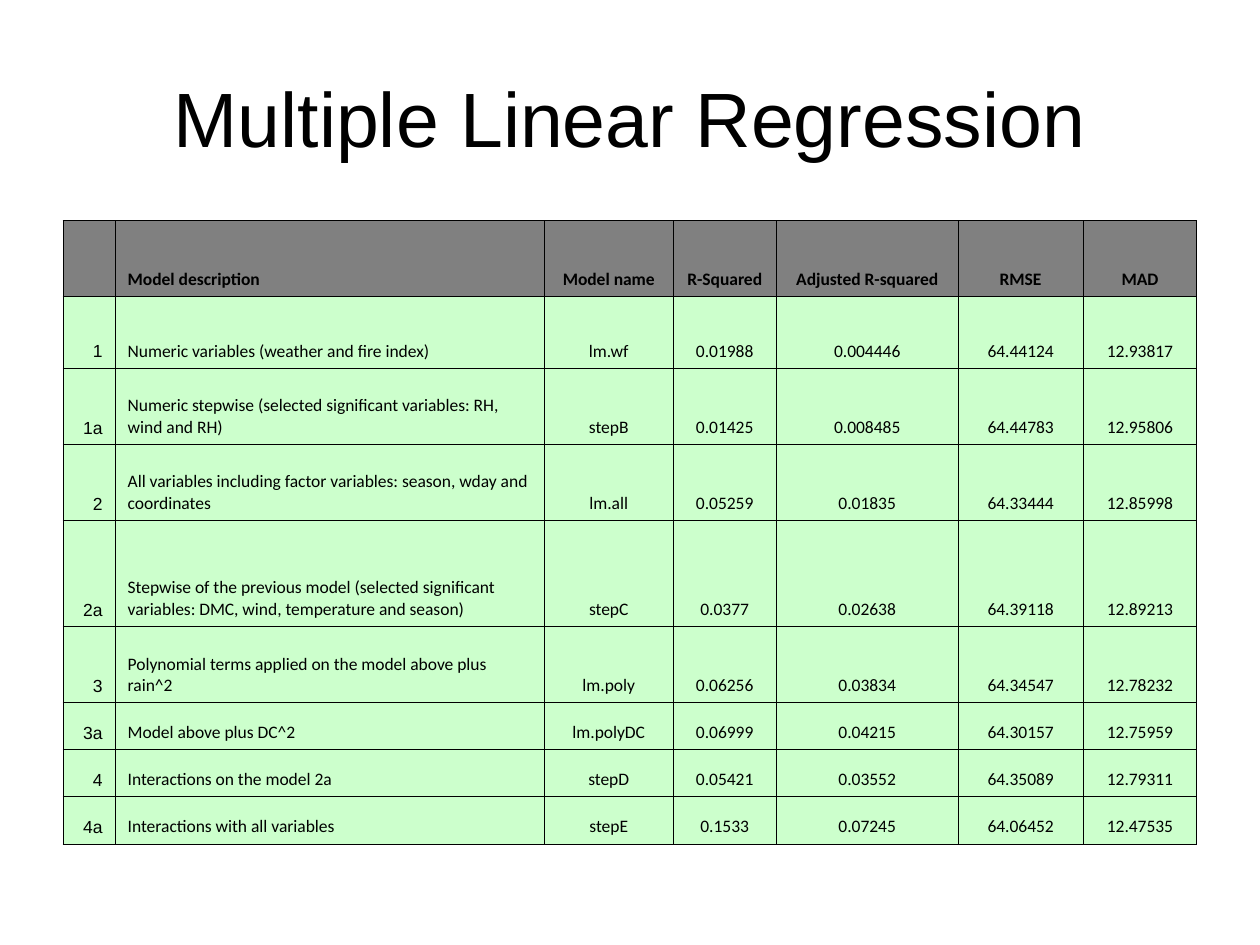
from lxml import etree
from pptx import Presentation
from pptx.dml.color import RGBColor
from pptx.enum import text
from pptx.oxml import ns
from pptx.util import Pt

TITLE = "Multiple Linear Regression"
HEADER = ("", "Model description", "Model name", "R-Squared",
          "Adjusted R-squared", "RMSE", "MAD")
MODELS = [
    ("1", "Numeric variables (weather and fire index)",
     "lm.wf", "0.01988", "0.004446", "64.44124", "12.93817"),
    ("1a", "Numeric stepwise (selected significant variables: RH, wind and RH)",
     "stepB", "0.01425", "0.008485", "64.44783", "12.95806"),
    ("2", "All variables including factor variables: season, wday and coordinates",
     "lm.all", "0.05259", "0.01835", "64.33444", "12.85998"),
    ("2a", "Stepwise of the previous model (selected significant variables: "
     "DMC, wind, temperature and season)",
     "stepC", "0.0377", "0.02638", "64.39118", "12.89213"),
    ("3", "Polynomial terms applied on the model above plus rain^2",
     "lm.poly", "0.06256", "0.03834", "64.34547", "12.78232"),
    ("3a", "Model above plus DC^2",
     "lm.polyDC", "0.06999", "0.04215", "64.30157", "12.75959"),
    ("4", "Interactions on the model 2a",
     "stepD", "0.05421", "0.03552", "64.35089", "12.79311"),
    ("4a", "Interactions with all variables",
     "stepE", "0.1533", "0.07245", "64.06452", "12.47535"),
]
COLUMN_WIDTHS = (29.8, 245.2, 73.7, 58.9, 104, 71.4, 65)
ROW_HEIGHTS = (43.2, 41.1, 43.5, 43.5, 60.6, 43.5, 27, 27, 27)
LEFT, WIDTH = 36, 648
TITLE_TOP, TITLE_HEIGHT = 21.6, 90
TABLE_TOP = 126
BLACK, HEADER_FILL, MODEL_FILL = "000000", "808080", "CCFFCC"
BORDER_WIDTH = 0.45
ALIGN = text.PP_ALIGN


def color(code):
    return RGBColor.from_string(code)


def write(frame, words, font="Calibri", size=10, bold=False, align=ALIGN.CENTER):
    paragraph = frame.paragraphs[0]
    paragraph.alignment = align
    if not words:
        return
    run = paragraph.add_run()
    run.text = words
    run.font.name = font
    run.font.size = Pt(size)
    run.font.bold = bold
    run.font.color.rgb = color(BLACK)


def add_borders(cell):
    properties = cell._tc.get_or_add_tcPr()
    for position, side in enumerate(("lnL", "lnR", "lnT", "lnB")):
        border = etree.Element(ns.qn(f"a:{side}"), w=str(int(Pt(BORDER_WIDTH))))
        fill = etree.SubElement(border, ns.qn("a:solidFill"))
        etree.SubElement(fill, ns.qn("a:srgbClr"), val=BLACK)
        properties.insert(position, border)


def add_title(slide):
    title = slide.shapes.add_textbox(Pt(LEFT), Pt(TITLE_TOP), Pt(WIDTH), Pt(TITLE_HEIGHT))
    title.text_frame.word_wrap = True
    title.text_frame.vertical_anchor = text.MSO_ANCHOR.MIDDLE
    write(title.text_frame, TITLE, font="Arial", size=44)


def add_models(slide):
    rows = [HEADER] + MODELS
    table = slide.shapes.add_table(len(rows), len(HEADER), Pt(LEFT), Pt(TABLE_TOP),
                                   Pt(WIDTH), Pt(sum(ROW_HEIGHTS))).table
    for column, width in zip(table.columns, COLUMN_WIDTHS):
        column.width = Pt(width)
    for row, height in zip(table.rows, ROW_HEIGHTS):
        row.height = Pt(height)
    column_formats = {0: {"font": "Arial", "align": ALIGN.RIGHT},
                      1: {"align": ALIGN.LEFT}}
    for r, values in enumerate(rows):
        for c, value in enumerate(values):
            cell = table.cell(r, c)
            cell.vertical_anchor = text.MSO_ANCHOR.BOTTOM
            cell.fill.solid()
            cell.fill.fore_color.rgb = color(MODEL_FILL if r else HEADER_FILL)
            add_borders(cell)
            write(cell.text_frame, value, bold=r == 0, **column_formats.get(c, {}))


def main():
    deck = Presentation()
    deck.slide_width, deck.slide_height = Pt(720), Pt(540)
    slide = deck.slides.add_slide(deck.slide_layouts[6])
    add_title(slide)
    add_models(slide)
    deck.save("out.pptx")


if __name__ == "__main__":
    main()
